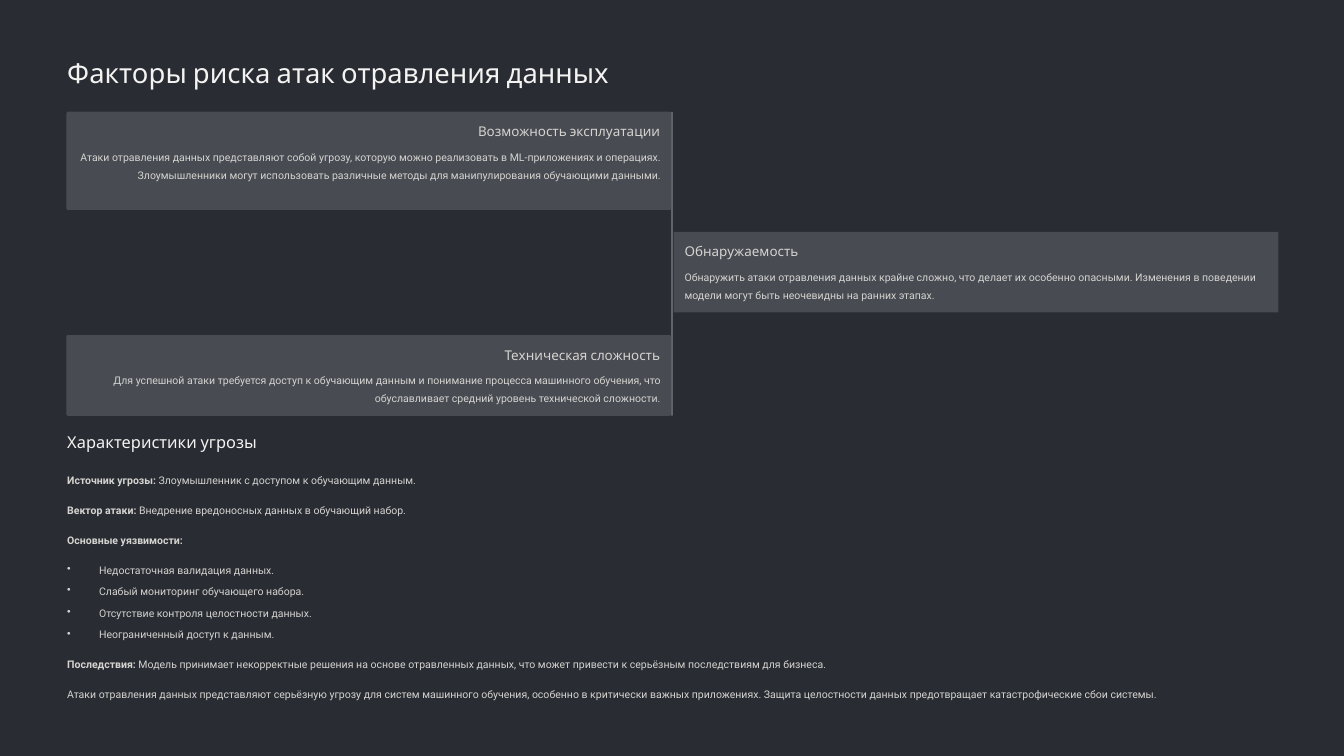
"""Build a slide on the risk factors of data poisoning attacks."""
import pptx
import pptx.dml.color
import pptx.enum.shapes
import pptx.enum.text
import pptx.oxml.ns
import pptx.util
from lxml import etree

Inches = pptx.util.Inches
Pt = pptx.util.Pt
Align = pptx.enum.text.PP_ALIGN
Kind = pptx.enum.shapes.MSO_SHAPE

TITLE = "Факторы риска атак отравления данных"
CARDS = [
    ("left", 1.33, 1.17, "Возможность эксплуатации",
     "Атаки отравления данных представляют собой угрозу, которую можно реализовать в ML-приложениях и операциях. "
     "Злоумышленники могут использовать различные методы для манипулирования обучающими данными."),
    ("right", 2.76, 0.96, "Обнаружаемость",
     "Обнаружить атаки отравления данных крайне сложно, что делает их особенно опасными. "
     "Изменения в поведении модели могут быть неочевидны на ранних этапах."),
    ("left", 3.99, 0.96, "Техническая сложность",
     "Для успешной атаки требуется доступ к обучающим данным и понимание процесса машинного обучения, "
     "что обуславливает средний уровень технической сложности."),
]
HEAD = "Характеристики угрозы"
FACTS = [
    ("fact", "Источник угрозы:", " Злоумышленник с доступом к обучающим данным."),
    ("fact", "Вектор атаки:", " Внедрение вредоносных данных в обучающий набор."),
    ("fact", "Основные уязвимости:", ""),
    ("item", "", "Недостаточная валидация данных."),
    ("item", "", "Слабый мониторинг обучающего набора."),
    ("item", "", "Отсутствие контроля целостности данных."),
    ("item", "", "Неограниченный доступ к данным."),
    ("fact", "Последствия:", " Модель принимает некорректные решения на основе отравленных данных, "
     "что может привести к серьёзным последствиям для бизнеса."),
    ("fact", "", "Атаки отравления данных представляют серьёзную угрозу для систем машинного обучения, "
     "особенно в критически важных приложениях. "
     "Защита целостности данных предотвращает катастрофические сбои системы."),
]
COLORS = {"back": "292C32", "card": "484B51", "line": "61646A",
          "head": "F3F3F2", "text": "D4D4D1"}
STYLES = {
    "title": ("Cabin", 23.5, 29, "head"),
    "head": ("Cabin", 14, 17.5, "head"),
    "label": ("Cabin", 11.5, 14.5, "text"),
    "body": ("Roboto", 9, 15, "text"),
}
LEFT, WIDE = 0.8, 14.39
CARD_W, PAD = 7.2, 0.13
SIDES = {
    "left": (0.79, Align.RIGHT, Kind.ROUNDED_RECTANGLE),
    "right": (8.02, Align.LEFT, Kind.RECTANGLE),
}


def paint(fill, name):
    fill.solid()
    fill.fore_color.rgb = pptx.dml.color.RGBColor.from_string(COLORS[name])


def block(slide, kind, x, y, w, h, color, round_by):
    shape = slide.shapes.add_shape(kind, Inches(x), Inches(y), Inches(w), Inches(h))
    shape.shadow.inherit = False
    shape.line.fill.background()
    paint(shape.fill, color)
    if kind == Kind.ROUNDED_RECTANGLE:
        shape.adjustments[0] = round_by


def setup(shape):
    frame = shape.text_frame
    frame.margin_left = frame.margin_right = 0
    frame.margin_top = frame.margin_bottom = 0
    frame.word_wrap = True
    frame.auto_size = pptx.enum.text.MSO_AUTO_SIZE.NONE
    frame.vertical_anchor = pptx.enum.text.MSO_ANCHOR.TOP
    return frame


def box(slide, x, y, w, h):
    return setup(slide.shapes.add_textbox(Inches(x), Inches(y), Inches(w), Inches(h)))


def write(para, style, text, align=Align.LEFT, bold=False):
    font, size, pitch, color = STYLES[style]
    para.alignment = align
    para.line_spacing = Pt(pitch)
    run = para.add_run()
    run.text = text
    run.font.name = font
    run.font.size = Pt(size)
    run.font.bold = bold
    paint(run.font.fill, color)


def bullet(para):
    props = para._p.get_or_add_pPr()
    props.set("marL", str(Inches(0.38)))
    props.set("indent", str(-Inches(0.38)))
    mark = etree.SubElement(props, pptx.oxml.ns.qn("a:buChar"))
    mark.set("char", "•")


def add_card(slide, side, y, h, label, body):
    x, align, kind = SIDES[side]
    block(slide, kind, x, y, CARD_W, h, "card", 0.02)
    wide = CARD_W - 2 * PAD
    frame = box(slide, x + PAD, y + PAD, wide, 0.2)
    write(frame.paragraphs[0], "label", label, align)
    frame = box(slide, x + PAD, y + 0.41, wide, h - 0.41 - PAD)
    write(frame.paragraphs[0], "body", body, align)


def add_facts(slide):
    frame = box(slide, LEFT, 5.59, WIDE, 2.75)
    last = None
    for kind, lead, rest in FACTS:
        para = frame.add_paragraph() if last else frame.paragraphs[0]
        if last:
            para.space_before = Pt(3.5 if kind == last == "item" else 10.5)
        if kind == "item":
            bullet(para)
        if lead:
            write(para, "body", lead, bold=True)
        if rest:
            write(para, "body", rest)
        last = kind


def main():
    deck = pptx.Presentation()
    deck.slide_width, deck.slide_height = Inches(16), Inches(9)
    slide = deck.slides.add_slide(deck.slide_layouts[5])
    paint(slide.background.fill, "back")

    title = slide.shapes.title
    title.left, title.top = Inches(LEFT), Inches(0.66)
    title.width, title.height = Inches(WIDE), Inches(0.41)
    write(setup(title).paragraphs[0], "title", TITLE)

    block(slide, Kind.ROUNDED_RECTANGLE, 7.99, 1.33, 0.02, 3.62, "line", 0.5)
    for card in CARDS:
        add_card(slide, *card)

    write(box(slide, LEFT, 5.14, WIDE, 0.25).paragraphs[0], "head", HEAD)
    add_facts(slide)
    deck.save("out.pptx")


if __name__ == "__main__":
    main()
